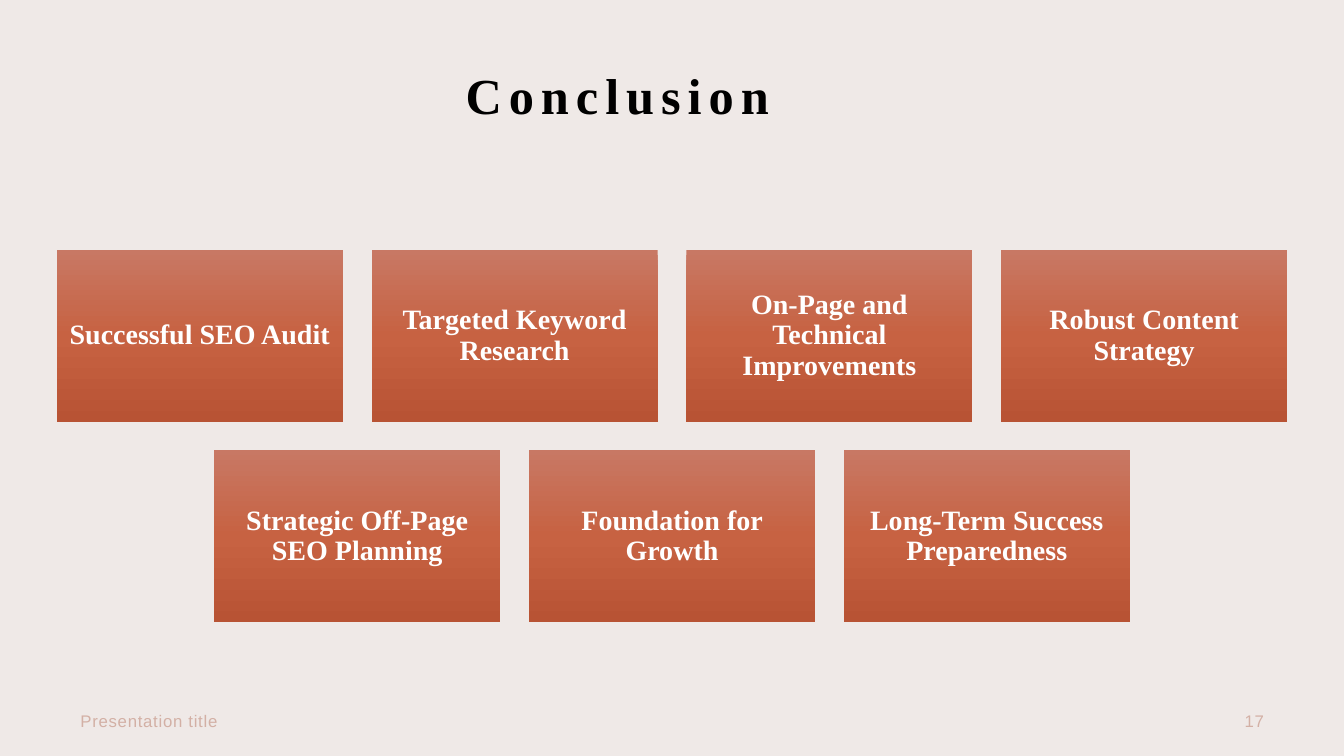
from copy import deepcopy

from pptx import Presentation
from pptx.dml.color import RGBColor
from pptx.enum.shapes import MSO_SHAPE as Shape
from pptx.enum.text import MSO_ANCHOR as Anchor, PP_ALIGN as Align
from pptx.oxml.ns import qn
from pptx.util import Pt

COLORS = {
    "background": "EFE9E7",
    "title": "000000",
    "footer": "D3B0A5",
    "card_text": "FFFFFF",
    "card_top": "C87864",
    "card_middle": "C76242",
    "card_bottom": "B85334",
}
SERIF, SANS = "Times New Roman", "Arial"
SLIDE_WIDTH, SLIDE_HEIGHT = 960, 540
CARD_WIDTH, CARD_HEIGHT, GAP = 204.4, 122.7, 20.45
CARDS_TOP = 178.5
CARD_ROWS = [
    ["Successful SEO Audit", "Targeted Keyword Research",
     "On-Page and Technical Improvements", "Robust Content Strategy"],
    ["Strategic Off-Page SEO Planning", "Foundation for Growth",
     "Long-Term Success Preparedness"],
]


def color(name):
    return RGBColor.from_string(COLORS[name])


def write(frame, text, font, size, color_name, align, bold=False, tracking=0):
    """Fill a text frame with one paragraph; tracking is letter spacing in points."""
    frame.word_wrap = True
    para = frame.paragraphs[0]
    span = para.add_run()
    span.text = text
    para.alignment = align
    para.font.name = font
    para.font.size = Pt(size)
    para.font.bold = bold
    para.font.color.rgb = color(color_name)
    if tracking:
        span.font._element.set("spc", str(round(tracking * 100)))
    return para


def set_margins(frame, points):
    frame.margin_left = frame.margin_right = Pt(points)
    frame.margin_top = frame.margin_bottom = Pt(points)


def add_title(page, text):
    title = page.shapes.title
    title.left, title.top = Pt(50.4), Pt(50.4)
    title.width, title.height = Pt(781.2), Pt(72)
    frame = title.text_frame
    set_margins(frame, 0)
    frame.vertical_anchor = Anchor.TOP
    para = write(frame, text, SERIF, 36, "title", Align.CENTER, True, 5)
    para.line_spacing = 0.9


def add_footer(page, text, left, width, align):
    box = page.shapes.add_textbox(Pt(left), Pt(500.4), Pt(width), Pt(28.8))
    box.text_frame.vertical_anchor = Anchor.MIDDLE
    para = write(box.text_frame, text, SANS, 12, "footer", align, tracking=0.5)
    para.space_after = Pt(6)


def shade(card):
    """Give a card its three-stop gradient, from top to bottom."""
    card.fill.gradient()
    card.fill.gradient_angle = 270
    stop_list = card._element.spPr.find(".//" + qn("a:gsLst"))
    stop_list.append(deepcopy(stop_list[-1]))
    names = ("card_top", "card_middle", "card_bottom")
    for index, (stop, name) in enumerate(zip(card.fill.gradient_stops, names)):
        stop.position = index / 2
        stop.color.rgb = color(name)


def add_card(page, text, left, top):
    card = page.shapes.add_shape(
        Shape.RECTANGLE, Pt(left), Pt(top), Pt(CARD_WIDTH), Pt(CARD_HEIGHT))
    card.shadow.inherit = False
    card.line.fill.background()
    shade(card)
    frame = card.text_frame
    set_margins(frame, 6)
    frame.vertical_anchor = Anchor.MIDDLE
    para = write(frame, text, SERIF, 20, "card_text", Align.CENTER, True)
    para.line_spacing = 0.9


def add_card_rows(page):
    """Stack the rows of cards, each row centred on the slide."""
    for row, texts in enumerate(CARD_ROWS):
        row_width = len(texts) * (CARD_WIDTH + GAP) - GAP
        row_left = (SLIDE_WIDTH - row_width) / 2
        top = CARDS_TOP + row * (CARD_HEIGHT + GAP)
        for column, text in enumerate(texts):
            add_card(page, text, row_left + column * (CARD_WIDTH + GAP), top)


def main():
    deck = Presentation()
    deck.slide_width, deck.slide_height = Pt(SLIDE_WIDTH), Pt(SLIDE_HEIGHT)
    page = deck.slides.add_slide(deck.slide_layouts[5])
    page.background.fill.solid()
    page.background.fill.fore_color.rgb = color("background")
    add_title(page, "Conclusion")
    add_footer(page, "Presentation title", 50.4, 324, Align.LEFT)
    add_footer(page, "17", 694, 216, Align.RIGHT)
    add_card_rows(page)
    deck.save("out.pptx")


if __name__ == "__main__":
    main()
